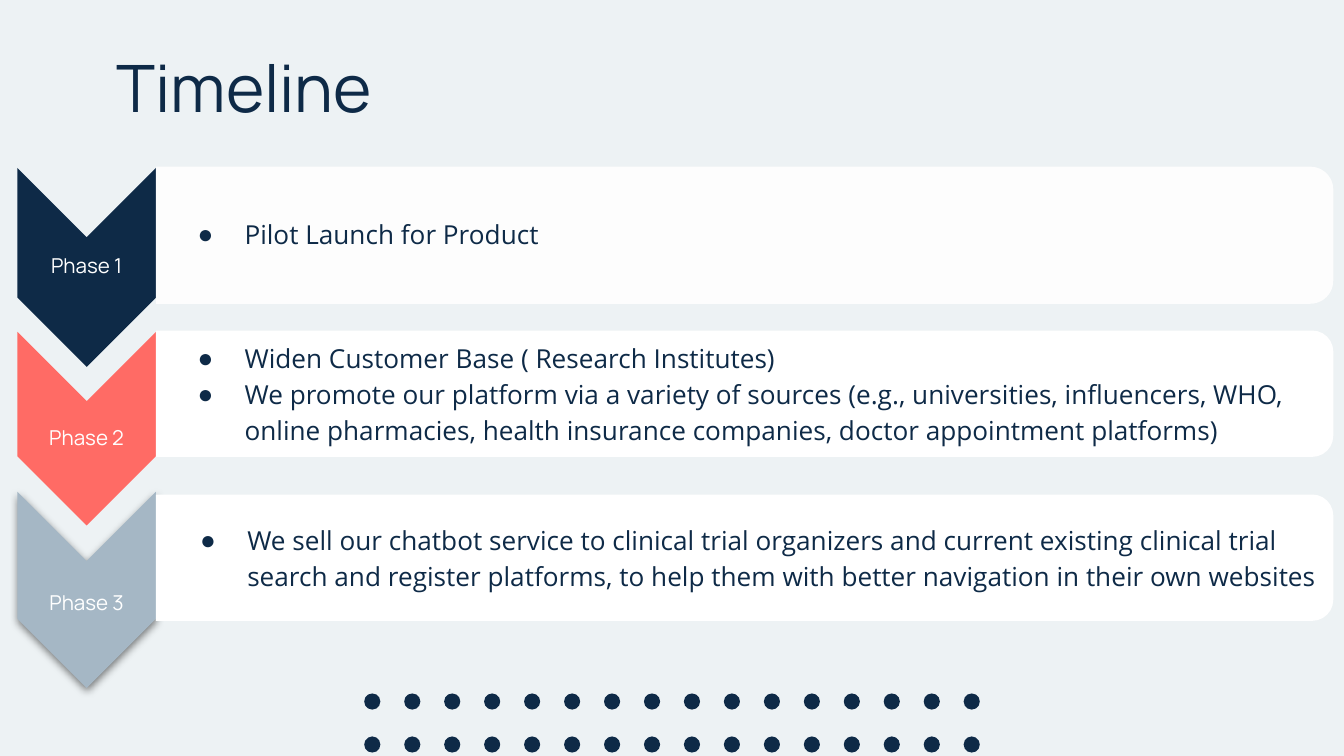
from dataclasses import dataclass

from lxml.etree import SubElement
from pptx import Presentation
from pptx.dml.color import RGBColor
from pptx.enum.shapes import MSO_SHAPE
from pptx.enum.text import MSO_ANCHOR, PP_ALIGN
from pptx.oxml.ns import qn
from pptx.util import Inches, Pt


@dataclass(frozen=True)
class Theme:
    background: str = "EDF2F4"
    navy: str = "0E2A47"
    coral: str = "FF6B65"
    grey: str = "A5B7C5"
    white: str = "FFFFFF"
    shadow: str = "000000"
    heading_font: str = "Manrope"
    body_font: str = "Open Sans"
    bullet_font: str = "Arial"
    title_size: int = 35
    body_size: int = 14
    label_size: int = 11


class TimelinePage:
    def __init__(self, deck, theme):
        self.theme = theme
        self.page = deck.slides.add_slide(deck.slide_layouts[6])
        fill = self.page.background.fill
        fill.solid()
        fill.fore_color.rgb = RGBColor.from_string(theme.background)

    def shape(self, kind, left, top, width, height, color):
        shape = self.page.shapes.add_shape(
            kind, Inches(left), Inches(top), Inches(width), Inches(height))
        shape.shadow.inherit = False
        shape.fill.solid()
        shape.fill.fore_color.rgb = RGBColor.from_string(color)
        shape.line.fill.background()
        return shape

    def upright_shape(self, kind, left, top, width, height, color):
        shift = (width - height) / 2
        shape = self.shape(kind, left + shift, top - shift, height, width, color)
        shape.rotation = 90
        return shape

    def chevron(self, top, height, color, shadowed=False):
        shape = self.upright_shape(MSO_SHAPE.CHEVRON, 0.13, top, 1.03, height, color)
        shape.adjustments[0] = 0.5
        if shadowed:
            effects = shape._element.spPr.find(qn("a:effectLst"))
            shadow = SubElement(effects, qn("a:outerShdw"), blurRad=str(Pt(4.5)),
                                dist=str(Pt(1.5)), dir="5400000", algn="bl", rotWithShape="0")
            color_node = SubElement(shadow, qn("a:srgbClr"), val=self.theme.shadow)
            SubElement(color_node, qn("a:alpha"), val="50000")

    def panel(self, top, height, opacity):
        shape = self.upright_shape(
            MSO_SHAPE.ROUND_2_SAME_RECTANGLE, 1.16, top, 8.76, height, self.theme.white)
        shape.adjustments[0] = 0.167
        shape.adjustments[1] = 0
        if opacity < 100:
            color_node = shape._element.spPr.find(qn("a:solidFill")).find(qn("a:srgbClr"))
            SubElement(color_node, qn("a:alpha"), val=str(opacity * 1000))

    def frame(self, left, top, width, height, margin, left_margin, anchor):
        box = self.page.shapes.add_textbox(
            Inches(left), Inches(top), Inches(width), Inches(height))
        frame = box.text_frame
        frame.word_wrap = True
        frame.vertical_anchor = anchor
        frame.margin_left = Inches(left_margin)
        frame.margin_right = frame.margin_top = frame.margin_bottom = Inches(margin)
        return frame

    def span(self, para, text, size, font, color):
        span = para.add_run()
        span.text = text
        span.font.size = Pt(size)
        span.font.name = font
        span.font.color.rgb = RGBColor.from_string(color)

    def title(self, text):
        frame = self.frame(0.77, 0.25, 4.45, 0.62, 0.1, 0.1, MSO_ANCHOR.TOP)
        self.span(frame.paragraphs[0], text, self.theme.title_size,
                  self.theme.heading_font, self.theme.navy)

    def label(self, text, top):
        frame = self.frame(0.13, top, 1.03, 0.41, 0.01, 0.01, MSO_ANCHOR.MIDDLE)
        para = frame.paragraphs[0]
        para.alignment = PP_ALIGN.CENTER
        para.line_spacing = 0.9
        self.span(para, text, self.theme.label_size,
                  self.theme.heading_font, self.theme.white)

    def bullets(self, items, left, top, width):
        frame = self.frame(left, top, width, 0.79, 0.01, 0.16, MSO_ANCHOR.MIDDLE)
        for index, item in enumerate(items):
            para = frame.add_paragraph() if index else frame.paragraphs[0]
            para.line_spacing = 1.15
            properties = para._p.get_or_add_pPr()
            properties.set("marL", str(Inches(0.5)))
            properties.set("indent", str(Inches(-0.35)))
            color_node = SubElement(properties, qn("a:buClr"))
            SubElement(color_node, qn("a:srgbClr"), val=self.theme.navy)
            SubElement(properties, qn("a:buFont"), typeface=self.theme.bullet_font)
            SubElement(properties, qn("a:buChar"), char="●")
            self.span(para, item, self.theme.body_size,
                      self.theme.body_font, self.theme.navy)

    def dots(self, columns, row_tops):
        for top in row_tops:
            for column in range(columns):
                self.shape(MSO_SHAPE.OVAL, 2.71 + column * 4.46 / (columns - 1),
                           top, 0.12, 0.12, self.theme.navy)


@dataclass(frozen=True)
class Phase:
    name: str
    color: str
    chevron_top: float
    chevron_height: float
    label_top: float
    panel_top: float
    panel_height: float
    text_left: float
    text_top: float
    text_width: float
    items: tuple
    opacity: int = 100
    shadowed: bool = False


def main():
    theme = Theme()
    deck = Presentation()
    deck.slide_width = Inches(10)
    deck.slide_height = Inches(10 * 9 / 16)
    timeline = TimelinePage(deck, theme)
    phases = (
        Phase("Phase 1", theme.navy, 1.25, 1.48, 1.78, 1.24, 1.02, 1.16, 1.33, 8.61,
              ("Pilot Launch for Product",), opacity=90),
        Phase("Phase 2", theme.coral, 2.47, 1.44, 3.06, 2.46, 0.94, 1.16, 2.52, 8.71,
              ("Widen Customer Base ( Research Institutes)",
               "We promote our platform via a variety of sources (e.g., universities, "
               "influencers, WHO, online pharmacies, health insurance companies, "
               "doctor appointment platforms)")),
        Phase("Phase 3", theme.grey, 3.66, 1.46, 4.29, 3.68, 0.94, 1.18, 3.74, 8.71,
              ("We sell our chatbot service to clinical trial organizers and current "
               "existing clinical trial search and register platforms, to help them "
               "with better navigation in their own websites",), shadowed=True),
    )
    timeline.dots(16, (5.16, 5.48))
    for phase in phases:
        timeline.chevron(phase.chevron_top, phase.chevron_height, phase.color, phase.shadowed)
        timeline.label(phase.name, phase.label_top)
        timeline.panel(phase.panel_top, phase.panel_height, phase.opacity)
        timeline.bullets(phase.items, phase.text_left, phase.text_top, phase.text_width)
    timeline.title("Timeline")
    deck.save("out.pptx")


if __name__ == "__main__":
    main()
